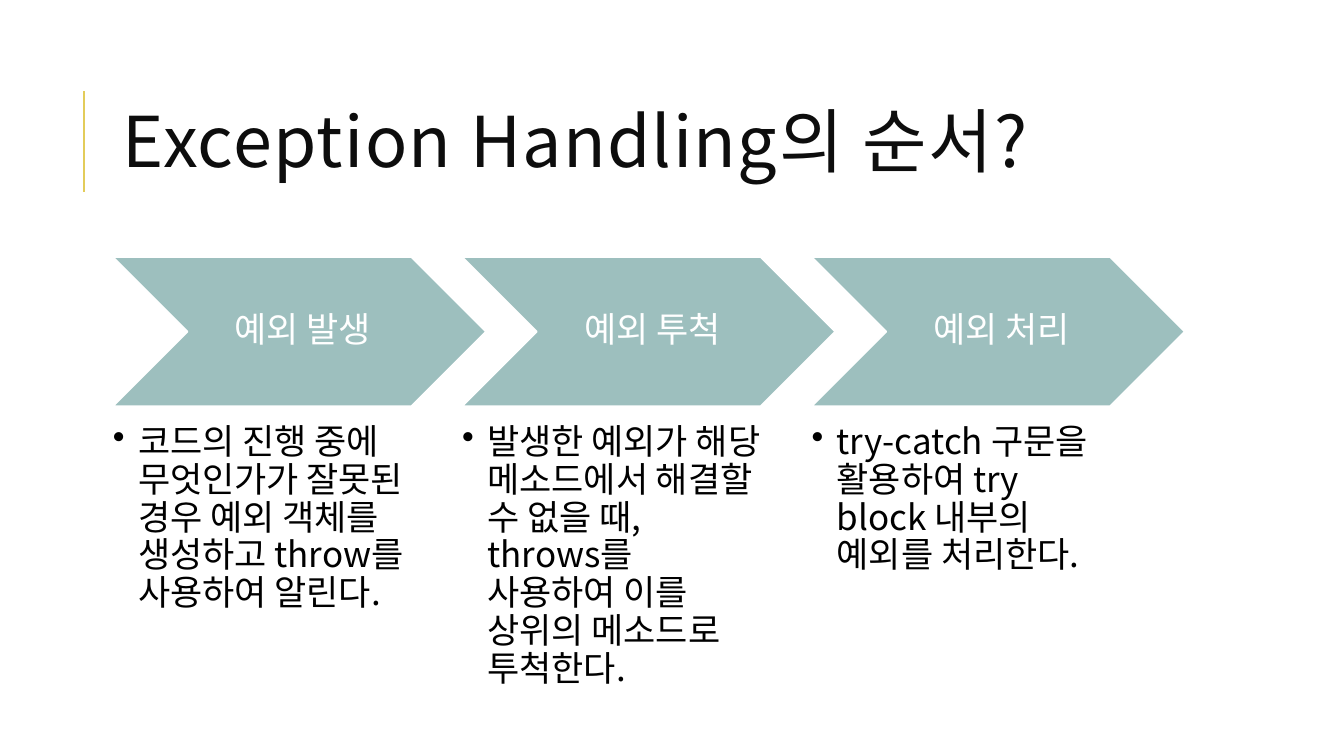
"""Builds a slide showing the three steps of exception handling as chevrons."""
import pptx
import pptx.util
import pptx.dml.color
import pptx.enum.shapes
import pptx.enum.text
import pptx.oxml.ns
import lxml.etree

Inches, Pt = pptx.util.Inches, pptx.util.Pt
COLORS = {"title": "0D0D0D", "rule": "E3CC5A", "chevron": "9DBFBE", "white": "FFFFFF", "body": "000000"}
FONT = "Noto Sans CJK KR"
LEFT, PITCH = 1.12, 3.465
CHEVRON_TOP, CHEVRON_WIDTH, CHEVRON_HEIGHT = 2.55, 3.7, 1.48
STEPS = [
    ("예외 발생", "코드의 진행 중에 무엇인가가 잘못된 경우 예외 객체를 생성하고 throw를 사용하여 알린다."),
    ("예외 투척", "발생한 예외가 해당 메소드에서 해결할 수 없을 때, throws를 사용하여 이를 상위의 메소드로 투척한다."),
    ("예외 처리", "try-catch 구문을 활용하여 try block 내부의 예외를 처리한다."),
]


def color(name):
    return pptx.dml.color.RGBColor.from_string(COLORS[name])


def write(box, text, size, color_name, spacing, margins, anchor):
    frame = box.text_frame
    frame.word_wrap = True
    frame.vertical_anchor = anchor
    frame.margin_left, frame.margin_top, frame.margin_right, frame.margin_bottom = map(Inches, margins)
    para = frame.paragraphs[0]
    para.text = text
    para.line_spacing = spacing
    para.font.size = Pt(size)
    para.font.name = FONT
    para.font.color.rgb = color(color_name)
    return para


deck = pptx.Presentation()
deck.slide_width, deck.slide_height = Inches(13.33), Inches(7.5)
page = deck.slides.add_slide(deck.slide_layouts[6])
anchors = pptx.enum.text.MSO_ANCHOR

rule = page.shapes.add_connector(
    pptx.enum.shapes.MSO_CONNECTOR.STRAIGHT, Inches(0.83), Inches(1.9), Inches(0.83), Inches(0.9))
rule.line.color.rgb = color("rule")
rule.line.width = Pt(1.5)
lxml.etree.SubElement(rule._element.spPr, pptx.oxml.ns.qn("a:effectLst"))

title = page.shapes.add_textbox(Inches(LEFT), Inches(0.64), Inches(10.63), Inches(1.64))
heading = write(title, "Exception Handling의 순서?", 50, "title", 0.8, (0.1, 0.05, 0.1, 0.05), anchors.MIDDLE)
heading.runs[0].font._element.set("spc", "100")

for column, (name, detail) in enumerate(STEPS):
    left = Inches(LEFT + column * PITCH)
    chevron = page.shapes.add_shape(
        pptx.enum.shapes.MSO_SHAPE.CHEVRON, left, Inches(CHEVRON_TOP), Inches(CHEVRON_WIDTH), Inches(CHEVRON_HEIGHT))
    chevron.shadow.inherit = False
    chevron.fill.solid()
    chevron.fill.fore_color.rgb = color("chevron")
    chevron.line.color.rgb = color("white")
    chevron.line.width = Pt(1.25)
    label = write(chevron, name, 25, "white", 0.9, (0.11, 0.04, 0.04, 0.04), anchors.MIDDLE)
    label.alignment = pptx.enum.text.PP_ALIGN.CENTER

    box = page.shapes.add_textbox(left, Inches(4.21), Inches(CHEVRON_WIDTH * 0.8), Inches(2.65))
    para = write(box, detail, 25, "body", 0.9, (0, 0, 0, 0), anchors.TOP)
    properties = para._p.get_or_add_pPr()
    properties.set("marL", str(Inches(0.25)))
    properties.set("indent", str(-Inches(0.25)))
    bullet = pptx.oxml.parse_xml(f'<a:buChar {pptx.oxml.ns.nsdecls("a")} char="•"/>')
    properties.insert_element_before(bullet, "a:tabLst", "a:defRPr", "a:extLst")

deck.save("out.pptx")
